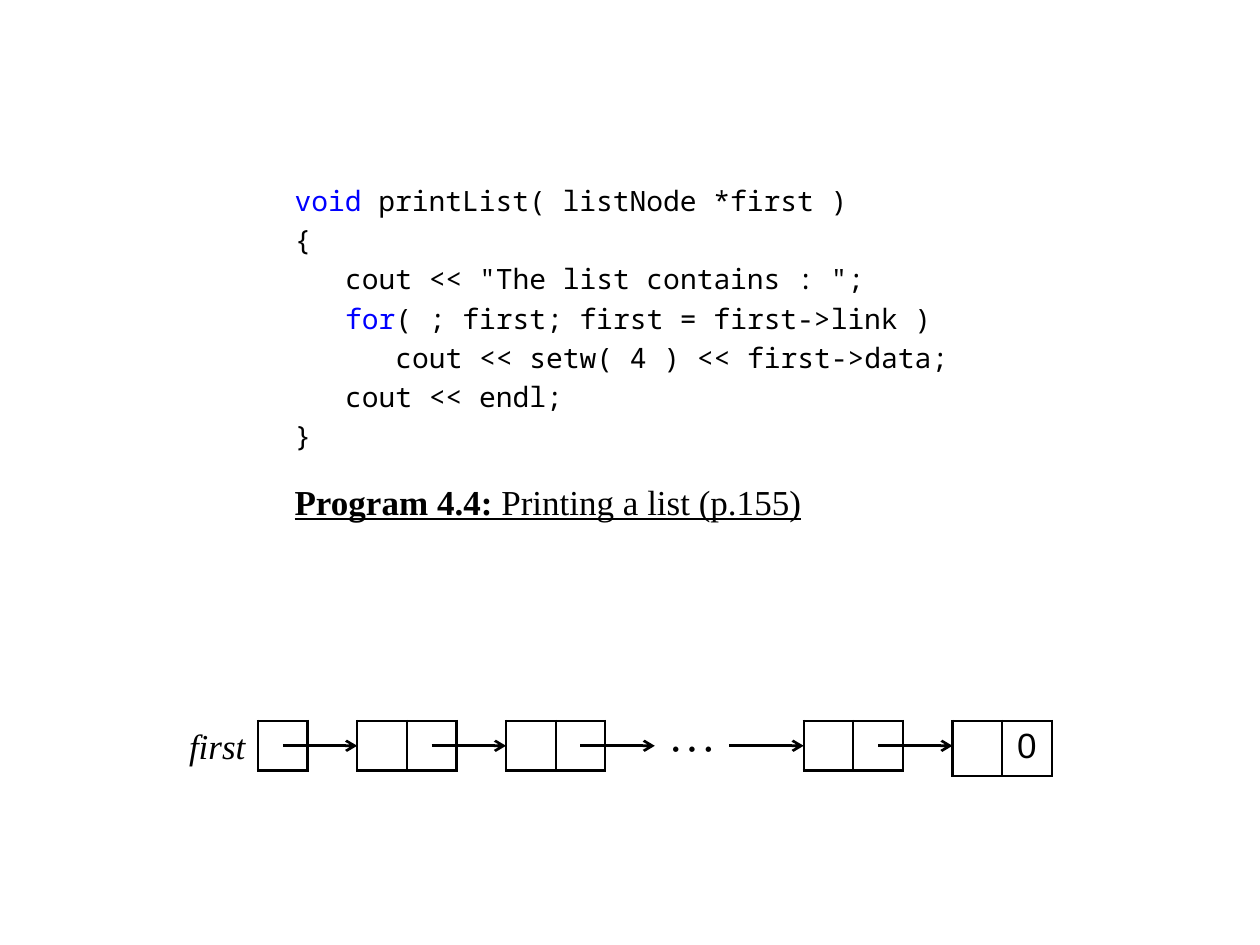
from lxml.etree import SubElement
from pptx import Presentation
from pptx.dml.color import RGBColor
from pptx.enum.shapes import MSO_CONNECTOR
from pptx.enum.text import MSO_ANCHOR, PP_ALIGN
from pptx.oxml.ns import qn
from pptx.util import Pt

COLORS = {"ink": "000000", "keyword": "0000FF"}
CODE = {"name": "Noto Sans Mono", "size": Pt(16)}
SERIF = {"name": "Times New Roman", "size": Pt(20)}
CODE_INDENT = 28.8
CELL = 28.35
PITCH = 3 * CELL
ROW_TOP = 412
FIRST_NODE = 204.1
LINE_WIDTH = 1.5

CODE_LINES = [
    (0, [("void ", "keyword"), ("printList( listNode *first )", "ink")]),
    (0, [("{", "ink")]),
    (1, [('cout << "The list contains : ";', "ink")]),
    (1, [("for", "keyword"), ("( ; first; first = first->link )", "ink")]),
    (2, [("cout << setw( 4 ) << first->data;", "ink")]),
    (1, [("cout << endl;", "ink")]),
    (0, [("}", "ink")]),
]


def add_run(p, text, fmt, color="ink"):
    r = p.add_run()
    r.text = text
    for key, value in fmt.items():
        setattr(r.font, key, value)
    r.font.color.rgb = RGBColor.from_string(COLORS[color])


def add_text_box(s, left, top, width, height, fmt):
    tf = s.shapes.add_textbox(Pt(left), Pt(top), Pt(width), Pt(height)).text_frame
    for key, value in {"word_wrap": True, **fmt}.items():
        setattr(tf, key, value)
    return tf


def add_code(s):
    tf = add_text_box(s, 161.3, 100, 396.7, 170, {"margin_top": Pt(1.7)})
    for i, (level, runs) in enumerate(CODE_LINES):
        p = tf.add_paragraph() if i else tf.paragraphs[0]
        p.line_spacing = Pt(22.4)
        p._p.get_or_add_pPr().set("marL", str(Pt(level * CODE_INDENT)))
        for text, color in runs:
            add_run(p, text, CODE, color)


def add_caption(s):
    tf = add_text_box(s, 161.3, 270, 311.8, 28.3, {"margin_top": Pt(4.6)})
    p = tf.paragraphs[0]
    for text, bold in [("Program 4.4:", True), (" Printing a list (p.155)", False)]:
        add_run(p, text, {**SERIF, "bold": bold, "underline": True})


def add_label(s, text, left, fmt, box, align):
    tf = add_text_box(s, left, ROW_TOP, 1.5 * CELL, CELL,
                      {"vertical_anchor": MSO_ANCHOR.MIDDLE, **box})
    p = tf.paragraphs[0]
    p.alignment = align
    add_run(p, text, fmt)


def set_borders(cell):
    tcPr = cell._tc.get_or_add_tcPr()
    for i, side in enumerate(["lnL", "lnR", "lnT", "lnB"]):
        ln = SubElement(tcPr, qn(f"a:{side}"), w=str(Pt(LINE_WIDTH)))
        fill = SubElement(ln, qn("a:solidFill"))
        SubElement(fill, qn("a:srgbClr"), val=COLORS["ink"])
        tcPr.insert(i, ln)


def add_node(s, left, texts):
    frame = s.shapes.add_table(1, len(texts), Pt(left), Pt(ROW_TOP),
                               Pt(CELL * len(texts)), Pt(CELL))
    table = frame.table
    table.first_row = table.horz_banding = False
    for i, text in enumerate(texts):
        table.columns[i].width = Pt(CELL)
        cell = table.cell(0, i)
        cell.fill.background()
        set_borders(cell)
        if text:
            p = cell.text_frame.paragraphs[0]
            p.alignment = PP_ALIGN.CENTER
            add_run(p, text, {"name": "Arial", "size": Pt(20)})
        else:
            cell.margin_top = cell.margin_bottom = 0


def add_arrow(s, start, end):
    y = Pt(ROW_TOP + CELL / 2)
    sp = s.shapes.add_connector(MSO_CONNECTOR.STRAIGHT, Pt(start), y, Pt(end), y)
    sp.line.width = Pt(LINE_WIDTH)
    sp.line.color.rgb = RGBColor.from_string(COLORS["ink"])
    SubElement(sp.line._get_or_add_ln(), qn("a:tailEnd"), type="arrow")
    SubElement(sp._element.spPr, qn("a:effectLst"))


def add_linked_list(s):
    slots = [FIRST_NODE + i * PITCH for i in range(5)]
    head = FIRST_NODE - 2 * CELL
    add_label(s, "first", head - 1.5 * CELL, {**SERIF, "italic": True},
              {"margin_left": 0, "margin_top": 0, "margin_bottom": 0},
              PP_ALIGN.RIGHT)
    add_label(s, "\u22ef", slots[2], {"name": "Cambria", "size": Pt(28)},
              {"margin_top": 0, "margin_bottom": Pt(2.9), "word_wrap": False},
              PP_ALIGN.CENTER)
    add_node(s, head, [""])
    for i, texts in {0: ["", ""], 1: ["", ""], 3: ["", ""], 4: ["", "0"]}.items():
        add_node(s, slots[i], texts)
    for left in slots:
        add_arrow(s, left - 1.5 * CELL, left)


def main():
    prs = Presentation()
    prs.slide_width, prs.slide_height = Pt(720), Pt(540)
    s = prs.slides.add_slide(prs.slide_layouts[6])
    add_code(s)
    add_caption(s)
    add_linked_list(s)
    prs.save("out.pptx")


main()
